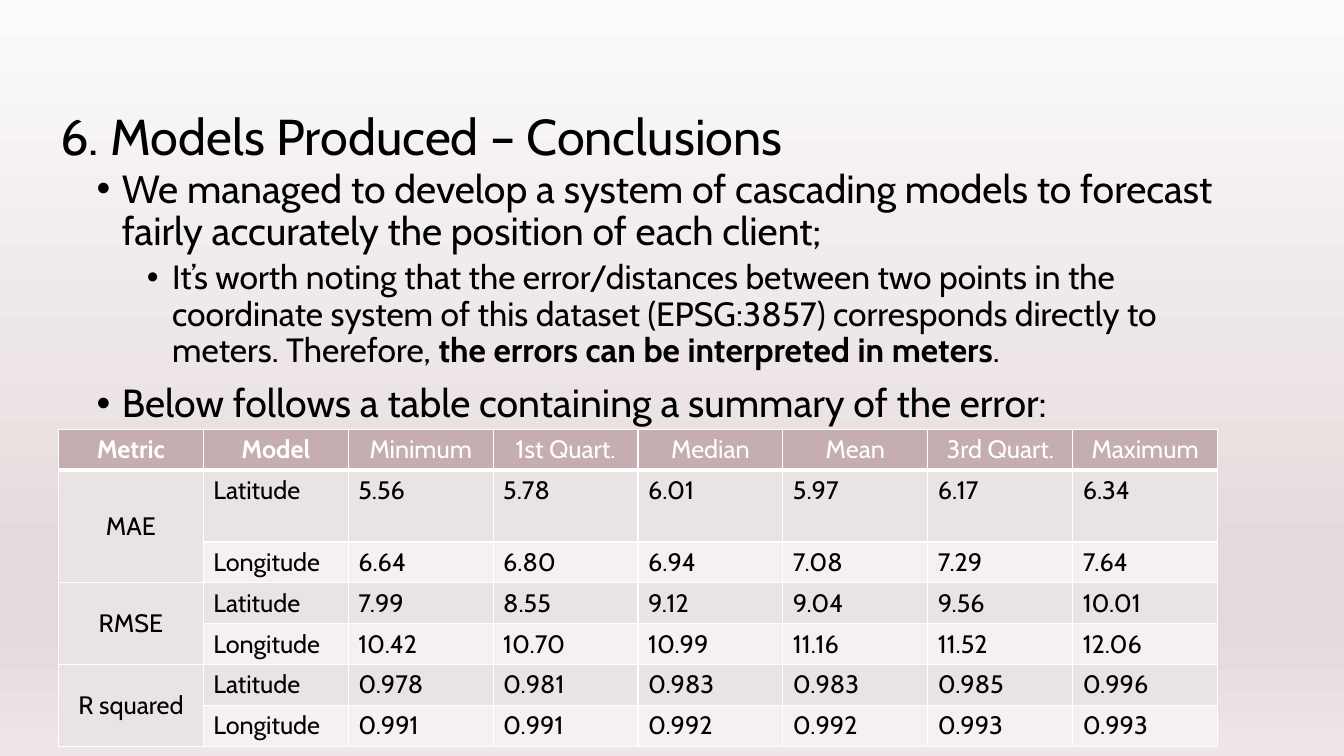
"""Build the conclusions slide with its table of error summaries."""
import pptx
import pptx.dml.color
import pptx.enum.text
import pptx.oxml
import pptx.oxml.ns
import pptx.util

Pt = pptx.util.Pt
RGB = pptx.dml.color.RGBColor.from_string
ALIGN = pptx.enum.text.PP_ALIGN
ANCHOR = pptx.enum.text.MSO_ANCHOR

HEADING = "6. Models Produced – Conclusions"
POINTS = [
    (0, [("We managed to develop a system of cascading models to forecast "
          "fairly accurately the position of each client;", False)]),
    (1, [("It’s worth noting that the error/distances between two points in the "
          "coordinate system of this dataset (EPSG:3857) corresponds directly to "
          "meters. Therefore, ", False),
         ("the errors can be interpreted in meters", True),
         (".", False)]),
    (0, [("Below follows a table containing a summary of the error:", False)]),
]
COLUMNS = ["Metric", "Model", "Minimum", "1st Quart.", "Median", "Mean",
           "3rd Quart.", "Maximum"]
ERRORS = {
    "MAE": {"Latitude": ["5.56", "5.78", "6.01", "5.97", "6.17", "6.34"],
            "Longitude": ["6.64", "6.80", "6.94", "7.08", "7.29", "7.64"]},
    "RMSE": {"Latitude": ["7.99", "8.55", "9.12", "9.04", "9.56", "10.01"],
             "Longitude": ["10.42", "10.70", "10.99", "11.16", "11.52", "12.06"]},
    "R squared": {"Latitude": ["0.978", "0.981", "0.983", "0.983", "0.985", "0.996"],
                  "Longitude": ["0.991", "0.991", "0.992", "0.992", "0.993", "0.993"]},
}
THEME = {
    "font": "Cabin", "ink": "000000", "paper": "FFFFFF",
    "header": "C6ADB0", "bands": ["EAE3E4", "F5F1F2"],
    "backdrop": [(0, "FCFBFB"), (74, "E5DADB"), (83, "E5DADB"), (100, "EEE6E7")],
    "heading_size": 36, "point_sizes": [28, 24], "table_size": 18,
    "rule": 1, "header_rule": 3,
}
LEVELS = [{"indent": 18, "before": 10}, {"indent": 54, "before": 5}]
HANG = 18
HEADING_BOX = (36, 64.08, 879.84, 71.28)
POINTS_BOX = (61.92, 117.36, 828, 342.72)
TABLE_LEFT, TABLE_TOP, TABLE_WIDTH = 41.76, 306.72, 828
ROW_HEIGHT, TALL_ROW_HEIGHT = 29.2, 51.2


def xml(tag, attributes="", inner=""):
    return f'<a:{tag} {pptx.oxml.ns.nsdecls("a")} {attributes}>{inner}</a:{tag}>'


def solid(color):
    return xml("solidFill", "", xml("srgbClr", f'val="{color}"'))


def paint_backdrop(slide):
    slide.background.fill.gradient()
    stops = "".join(xml("gs", f'pos="{percent * 1000}"', xml("srgbClr", f'val="{color}"'))
                    for percent, color in THEME["backdrop"])
    gradient = pptx.oxml.parse_xml(xml("gradFill", 'rotWithShape="1"',
                                       xml("gsLst", "", stops)
                                       + xml("lin", 'ang="5400000" scaled="0"')))
    previous = slide.element.find(".//" + pptx.oxml.ns.qn("a:gradFill"))
    previous.getparent().replace(previous, gradient)


def add_run(paragraph, words, size, color=THEME["ink"], bold=False):
    run = paragraph.add_run()
    run.text = words
    run.font.name = THEME["font"]
    run.font.size = Pt(size)
    run.font.bold = bold
    run.font.color.rgb = RGB(color)


def add_frame(slide, box):
    frame = slide.shapes.add_textbox(*map(Pt, box)).text_frame
    frame.word_wrap = True
    return frame


def add_heading(slide):
    frame = add_frame(slide, HEADING_BOX)
    frame.vertical_anchor = ANCHOR.MIDDLE
    frame.paragraphs[0].line_spacing = 0.9
    add_run(frame.paragraphs[0], HEADING, THEME["heading_size"])


def add_points(slide):
    frame = add_frame(slide, POINTS_BOX)
    for index, (level, runs) in enumerate(POINTS):
        point = frame.add_paragraph() if index else frame.paragraphs[0]
        point.level = level
        point.line_spacing = 0.9
        point.space_before = Pt(LEVELS[level]["before"])
        properties = point._p.get_or_add_pPr()
        properties.set("marL", str(Pt(LEVELS[level]["indent"])))
        properties.set("indent", str(-Pt(HANG)))
        properties.append(pptx.oxml.parse_xml(xml("buFont", 'typeface="Arial"')))
        properties.append(pptx.oxml.parse_xml(xml("buChar", 'char="•"')))
        for words, bold in runs:
            add_run(point, words, THEME["point_sizes"][level], bold=bold)


def style_cell(cell, fill, top, bottom):
    cell.fill.solid()
    cell.fill.fore_color.rgb = RGB(fill)
    widths = {"lnL": THEME["rule"], "lnR": THEME["rule"], "lnT": top, "lnB": bottom}
    for position, (side, width) in enumerate(widths.items()):
        border = pptx.oxml.parse_xml(xml(side, f'w="{Pt(width)}"', solid(THEME["paper"])))
        cell._tc.get_or_add_tcPr().insert(position, border)


def add_errors(slide):
    rows = [COLUMNS] + [[metric, model, *values]
                        for metric, models in ERRORS.items()
                        for model, values in models.items()]
    heights = [ROW_HEIGHT, TALL_ROW_HEIGHT] + [ROW_HEIGHT] * (len(rows) - 2)
    table = slide.shapes.add_table(len(rows), len(COLUMNS), Pt(TABLE_LEFT), Pt(TABLE_TOP),
                                   Pt(TABLE_WIDTH), Pt(sum(heights))).table
    for column in table.columns:
        column.width = Pt(TABLE_WIDTH / len(COLUMNS))
    for row, height in zip(table.rows, heights):
        row.height = Pt(height)
    for r, texts in enumerate(rows):
        for c, words in enumerate(texts):
            cell = table.cell(r, c)
            header, metric = r == 0, r > 0 and c == 0
            band = THEME["bands"][0 if metric else (r - 1) % 2]
            style_cell(cell, THEME["header"] if header else band,
                       THEME["header_rule"] if r == 1 else THEME["rule"],
                       THEME["header_rule"] if header else THEME["rule"])
            if metric:
                cell.vertical_anchor = ANCHOR.MIDDLE
                if r % 2 == 0:
                    continue
                cell.merge(table.cell(r + 1, c))
            paragraph = cell.text_frame.paragraphs[0]
            paragraph.alignment = ALIGN.CENTER if header or metric else ALIGN.LEFT
            add_run(paragraph, words, THEME["table_size"],
                    THEME["paper"] if header else THEME["ink"], header and c < 2)


deck = pptx.Presentation()
deck.slide_width, deck.slide_height = Pt(960), Pt(540)
conclusions = deck.slides.add_slide(deck.slide_layouts[6])
paint_backdrop(conclusions)
add_heading(conclusions)
add_points(conclusions)
add_errors(conclusions)
deck.save("out.pptx")
